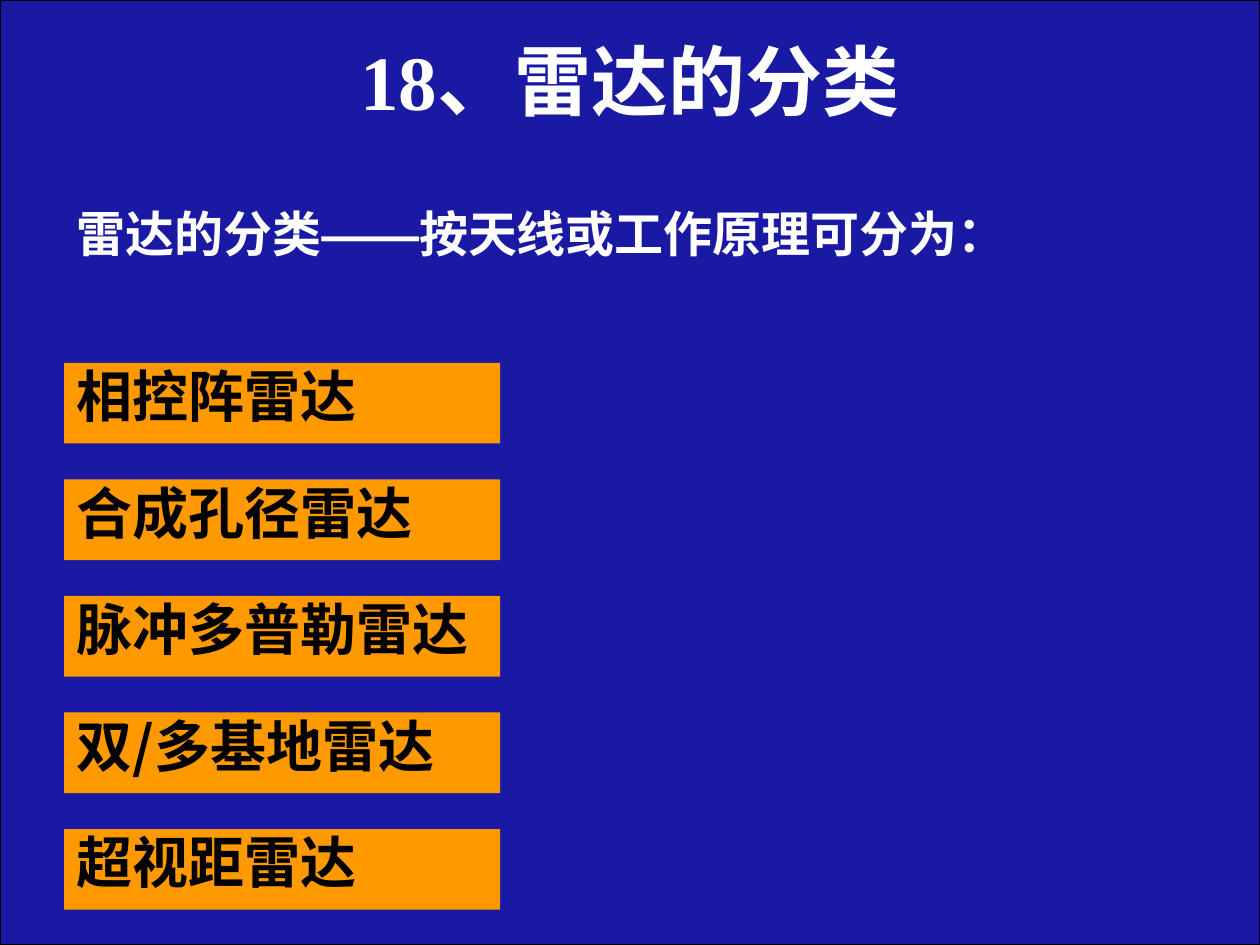
from dataclasses import dataclass

from lxml.etree import SubElement
from pptx import Presentation
from pptx.dml.color import RGBColor
from pptx.enum.shapes import MSO_SHAPE
from pptx.enum.text import MSO_ANCHOR, MSO_AUTO_SIZE, PP_ALIGN
from pptx.oxml.ns import qn
from pptx.util import Inches, Pt


@dataclass(frozen=True)
class Theme:
    blue: str = "000099"
    blue_opacity: int = 90000
    orange: str = "FF9900"
    white: str = "FFFFFF"
    black: str = "000000"
    cjk: str = "Noto Sans CJK SC"
    serif: str = "Times New Roman"
    sans: str = "Arial"
    title_size: int = 44
    lead_size: int = 28
    item_size: int = 32
    line_spacing: float = 0.9


@dataclass(frozen=True)
class Run:
    text: str
    latin: str
    east_asian: str


@dataclass(frozen=True)
class RadarType:
    name: str
    align: PP_ALIGN = PP_ALIGN.JUSTIFY


THEME = Theme()
LEFT = 0.51
ITEM_TOP, ITEM_PITCH = 2.88, 0.925
ITEM_WIDTH, ITEM_HEIGHT = 3.46, 0.64

TITLE = [Run("18、雷达的分类", THEME.serif, THEME.cjk)]
LEAD = [
    Run("雷达的分类", THEME.cjk, THEME.cjk),
    Run("——", THEME.sans, THEME.sans),
    Run("按天线或工作原理可分为：", THEME.cjk, THEME.cjk),
]
RADAR_TYPES = [
    RadarType("相控阵雷达"),
    RadarType("合成孔径雷达"),
    RadarType("脉冲多普勒雷达", PP_ALIGN.LEFT),
    RadarType("双/多基地雷达", PP_ALIGN.LEFT),
    RadarType("超视距雷达"),
]


def write(sp, runs: list[Run], size: int, color: str, align: PP_ALIGN) -> None:
    """Write one bold paragraph at the top of a shape."""
    tf = sp.text_frame
    tf.word_wrap = True
    tf.auto_size = MSO_AUTO_SIZE.NONE
    tf.vertical_anchor = MSO_ANCHOR.TOP
    p = tf.paragraphs[0]
    p.alignment = align
    p.line_spacing = THEME.line_spacing
    p.space_before = Pt(0)
    for run in runs:
        r = p.add_run()
        r.text = run.text
        r.font.size = Pt(size)
        r.font.bold = True
        r.font.color.rgb = RGBColor.from_string(color)
        r.font.name = run.latin
        SubElement(r.font._element, qn("a:ea")).set("typeface", run.east_asian)


def add_rect(s, left: float, top: float, width: float, height: float, color: str):
    """Add a flat filled rectangle without an outline."""
    sp = s.shapes.add_shape(
        MSO_SHAPE.RECTANGLE, Inches(left), Inches(top), Inches(width), Inches(height)
    )
    sp.shadow.inherit = False
    sp.fill.solid()
    sp.fill.fore_color.rgb = RGBColor.from_string(color)
    sp.line.fill.background()
    return sp


def add_backdrop(s) -> None:
    """Put the translucent blue panel behind everything else."""
    sp = add_rect(s, 0, 0, 10, 7.5, THEME.blue)
    sp.line.color.rgb = RGBColor.from_string(THEME.black)
    sp.line.width = Pt(0.75)
    color = sp.fill._xPr.find(qn("a:solidFill")).find(qn("a:srgbClr"))
    SubElement(color, qn("a:alpha")).set("val", str(THEME.blue_opacity))
    s.shapes._spTree.insert(2, sp._element)


def add_title(s) -> None:
    """Place and fill the title placeholder."""
    sp = s.shapes.title
    sp.left, sp.top = Inches(0.5), Inches(0.3)
    sp.width, sp.height = Inches(9), Inches(1.25)
    write(sp, TITLE, THEME.title_size, THEME.white, PP_ALIGN.CENTER)


def add_lead(s) -> None:
    """Add the line that introduces the radar types."""
    sp = s.shapes.add_textbox(Inches(LEFT), Inches(1.62), Inches(8.9), Inches(0.57))
    write(sp, LEAD, THEME.lead_size, THEME.white, PP_ALIGN.JUSTIFY)


def add_radar_type(s, index: int, radar: RadarType) -> None:
    """Add one orange bar of the evenly spaced list."""
    top = ITEM_TOP + index * ITEM_PITCH
    sp = add_rect(s, LEFT, top, ITEM_WIDTH, ITEM_HEIGHT, THEME.orange)
    runs = [Run(radar.name, THEME.cjk, THEME.cjk)]
    write(sp, runs, THEME.item_size, THEME.black, radar.align)


def main() -> None:
    """Build the slide and save it."""
    prs = Presentation()
    prs.slide_width, prs.slide_height = Inches(10), Inches(7.5)
    s = prs.slides.add_slide(prs.slide_layouts[5])
    add_backdrop(s)
    add_title(s)
    add_lead(s)
    for index, radar in enumerate(RADAR_TYPES):
        add_radar_type(s, index, radar)
    prs.save("out.pptx")


if __name__ == "__main__":
    main()
